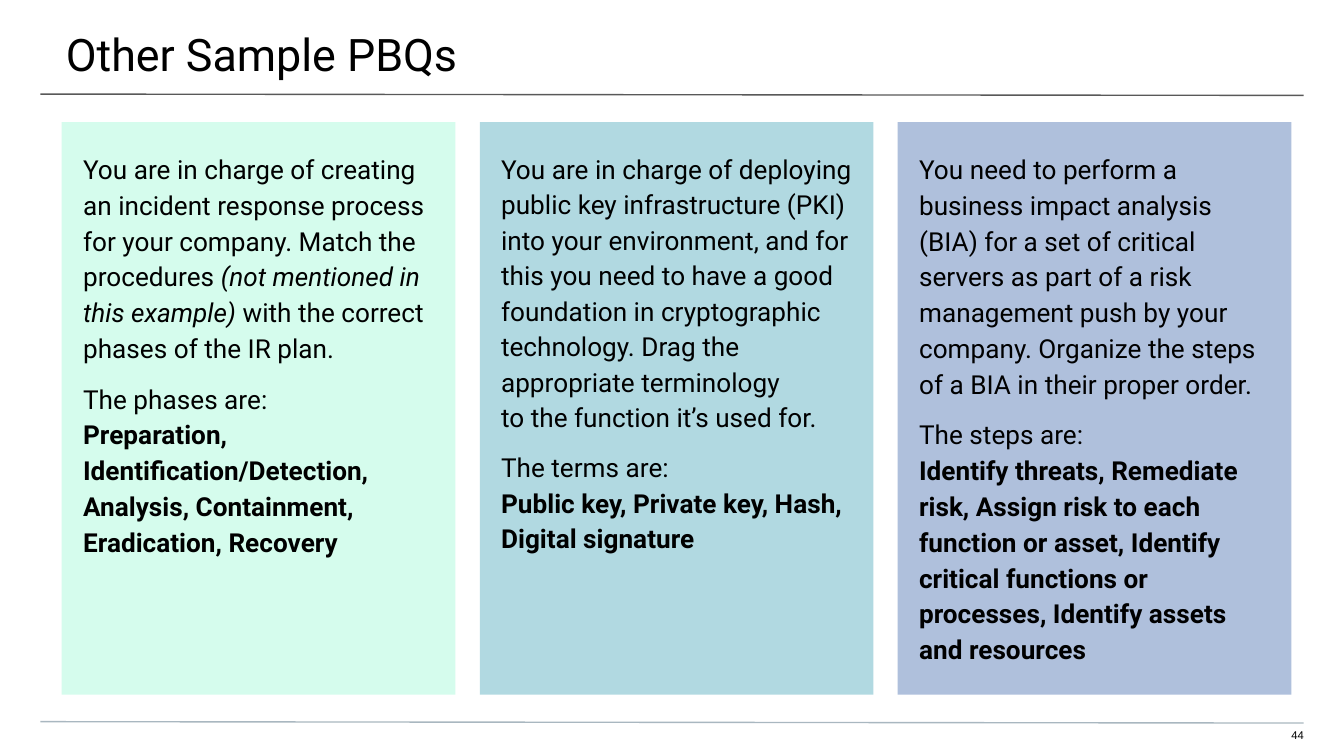
from lxml.etree import SubElement
from pptx import Presentation
from pptx.dml.color import RGBColor
from pptx.enum.shapes import MSO_CONNECTOR as Connector, MSO_SHAPE as Shape
from pptx.enum.text import MSO_ANCHOR as Anchor, PP_ALIGN as Align
from pptx.oxml.ns import qn
from pptx.util import Inches, Pt

WIDTH = 10
HEIGHT = WIDTH * 9 / 16
TITLE, PAGE = "Other Sample PBQs", "44"
RULES = [(0.7, "595959"), (5.37, "A9B7C0")]

# Each paragraph is a list of (text, style) runs; "\n" is a line break.
CARDS = [
    dict(fill="D5FCED", spacing=1.14, paragraphs=[
        [("You are in charge of creating an incident response process for your "
          "company. Match the procedures ", ""),
         ("(not mentioned in this example) ", "italic"),
         ("with the correct phases of the IR plan.", "")],
        [("The phases are:", "")],
        [("Preparation, Identification/Detection, Analysis, Containment, "
          "Eradication, Recovery", "bold")],
    ]),
    dict(fill="B1D9E1", spacing=1.13, paragraphs=[
        [("You are in charge of deploying public key infrastructure (PKI) into your "
          "environment, and for this you need to have a good foundation in "
          "cryptographic technology. Drag the appropriate terminology\n"
          "to the function it’s used for.", "")],
        [("The terms are:", "")],
        [("Public key, Private key, Hash, Digital signature", "bold")],
    ]),
    dict(fill="AFC0DC", spacing=1.14, paragraphs=[
        [("You need to perform a business impact analysis (BIA) for a set of "
          "critical servers as part of a risk management push by your company. "
          "Organize the steps of a BIA in their proper order.", "")],
        [("The steps are:\n", ""),
         ("Identify threats, Remediate risk, Assign risk to each function or asset, "
          "Identify critical functions or processes, Identify assets and resources",
          "bold")],
    ]),
]
CARD_LEFT, CARD_TOP, CARD_WIDTH, CARD_HEIGHT = 0.46, 0.91, 2.93, 4.26
CARD_STEP = 3.11
TEXT_INSET = 0.06


def color(value):
    return RGBColor.from_string(value)


def set_font(paragraph, name, size):
    font = paragraph.font
    font.name, font.size = name, Pt(size)
    font.color.rgb = color("000000")


def add_text_frame(slide, box, margins):
    """Add a wrapping text box; margins run left, top, right, bottom."""
    frame = slide.shapes.add_textbox(*map(Inches, box)).text_frame
    frame.word_wrap = True
    frame.vertical_anchor = Anchor.TOP
    (frame.margin_left, frame.margin_top,
     frame.margin_right, frame.margin_bottom) = map(Inches, margins)
    return frame


def add_rule(slide, top, stroke):
    rule = slide.shapes.add_connector(
        Connector.STRAIGHT, *map(Inches, (0.3, top, WIDTH - 0.3, top + 0.01)))
    rule.line.color.rgb = color(stroke)
    rule.line.width = Pt(0.75)
    SubElement(rule._element.spPr, qn("a:effectLst"))


def add_runs(paragraph, runs):
    for text, style in runs:
        for index, line in enumerate(text.split("\n")):
            if index:
                paragraph.add_line_break()
            if line:
                run = paragraph.add_run()
                run.text = line
                if style:
                    setattr(run.font, style, True)


def add_card(slide, column, card):
    left = CARD_LEFT + column * CARD_STEP
    panel = slide.shapes.add_shape(
        Shape.RECTANGLE, *map(Inches, (left, CARD_TOP, CARD_WIDTH, CARD_HEIGHT)))
    panel.shadow.inherit = False
    panel.fill.solid()
    panel.fill.fore_color.rgb = color(card["fill"])
    panel.line.fill.background()

    frame = add_text_frame(
        slide, (left + TEXT_INSET, CARD_TOP + 0.1, 2.82, 3.99), [0.1] * 4)
    for index, runs in enumerate(card["paragraphs"]):
        paragraph = frame.add_paragraph() if index else frame.paragraphs[0]
        add_runs(paragraph, runs)
        set_font(paragraph, "Roboto", 14)
        paragraph.line_spacing = card["spacing"]
        paragraph.space_before = Pt(8 if index == 1 else 0)
        paragraph.space_after = Pt(0)


def main():
    deck = Presentation()
    deck.slide_width, deck.slide_height = Inches(WIDTH), Inches(HEIGHT)
    slide = deck.slides.add_slide(deck.slide_layouts[6])

    for top, stroke in RULES:
        add_rule(slide, top, stroke)

    title = add_text_frame(
        slide, (-0.01, 0, 10.03, 0.58), (0.5, 0.2, 0.3, 0.1)).paragraphs[0]
    title.text = TITLE
    set_font(title, "Roboto", 24)

    page = add_text_frame(slide, (9.41, 5.42, 0.29, 0.12), (0, 0, 0, 0.1)).paragraphs[0]
    page.text = PAGE
    page.alignment = Align.RIGHT
    set_font(page, "Arial", 6)

    for column, card in enumerate(CARDS):
        add_card(slide, column, card)

    deck.save("out.pptx")


if __name__ == "__main__":
    main()
